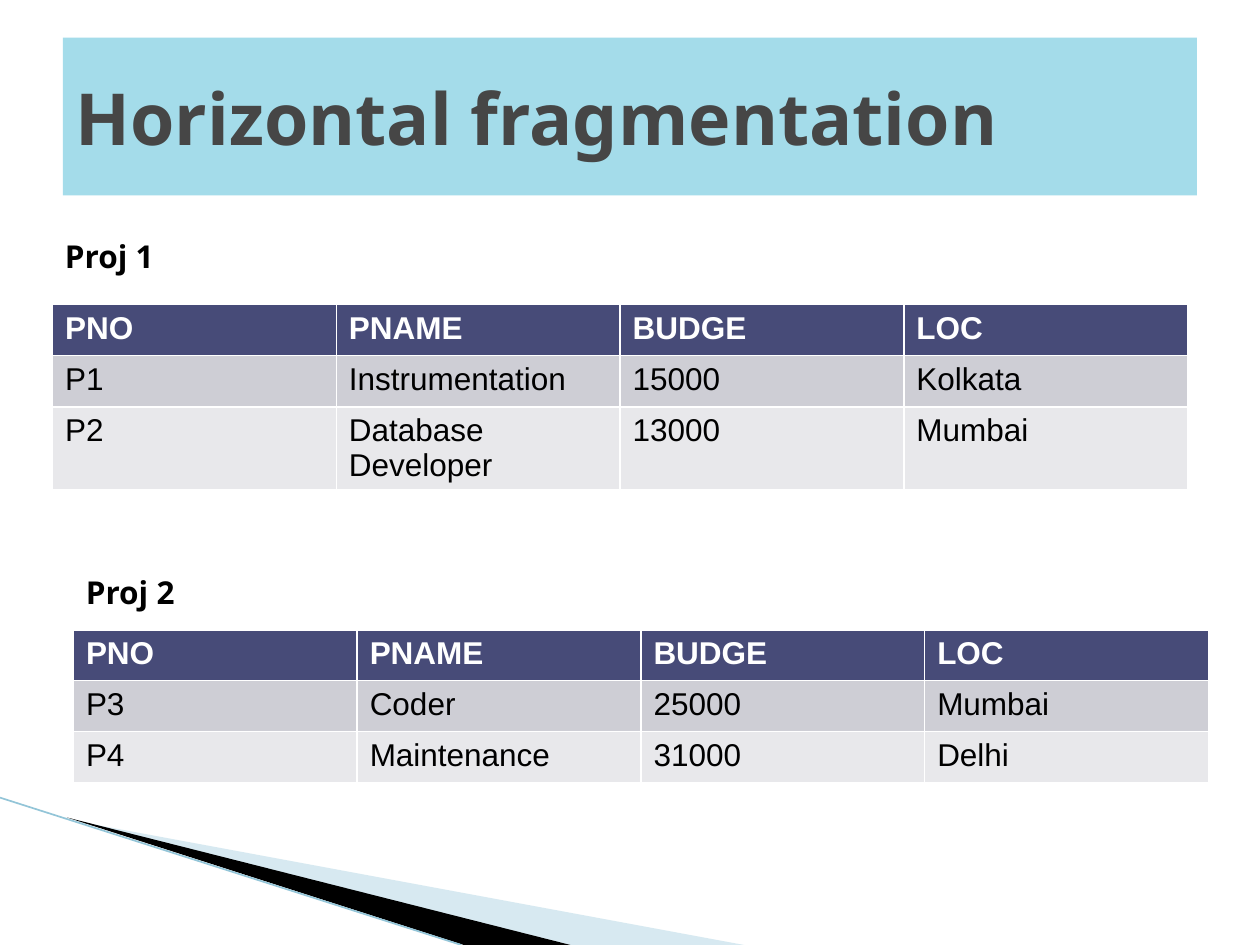
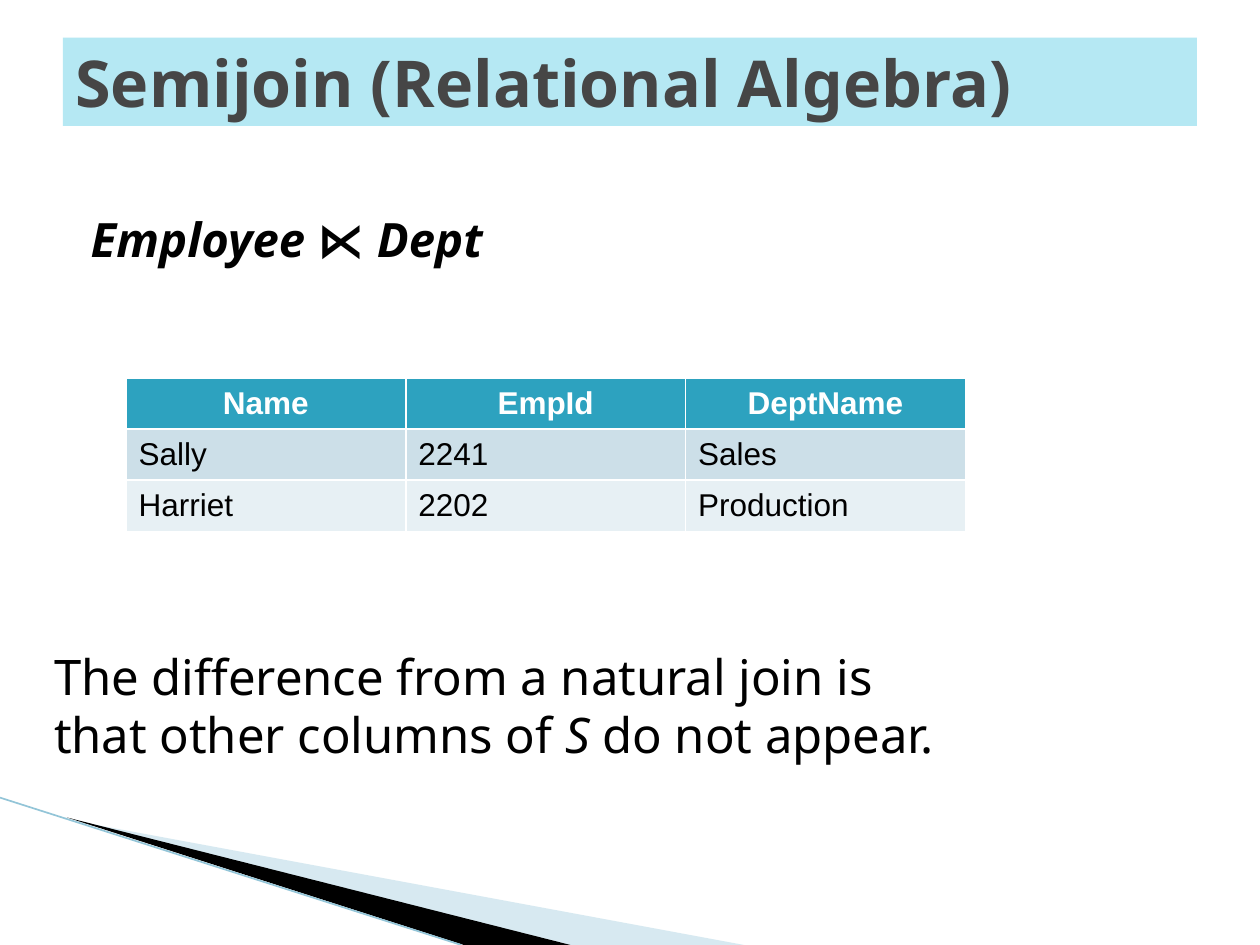
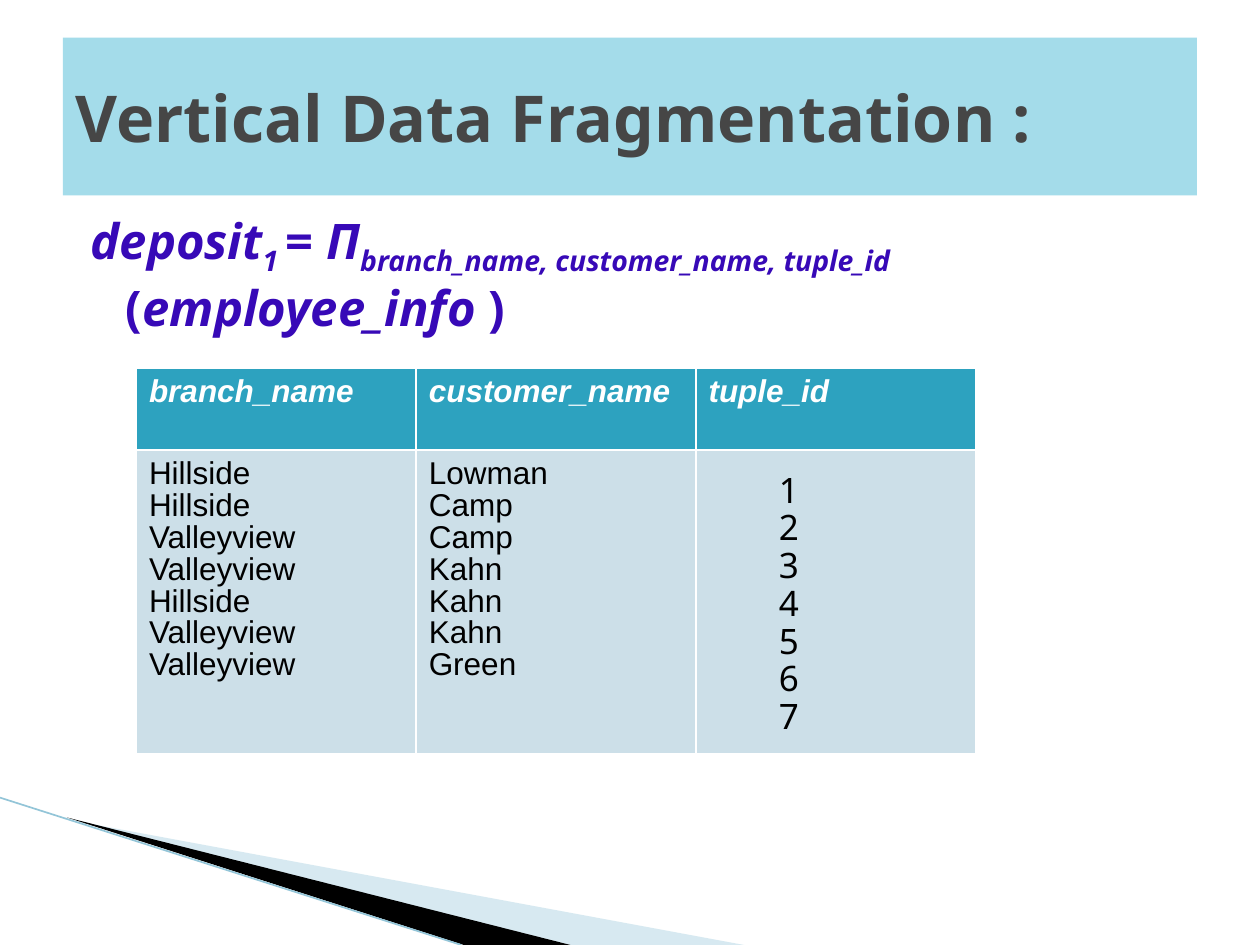
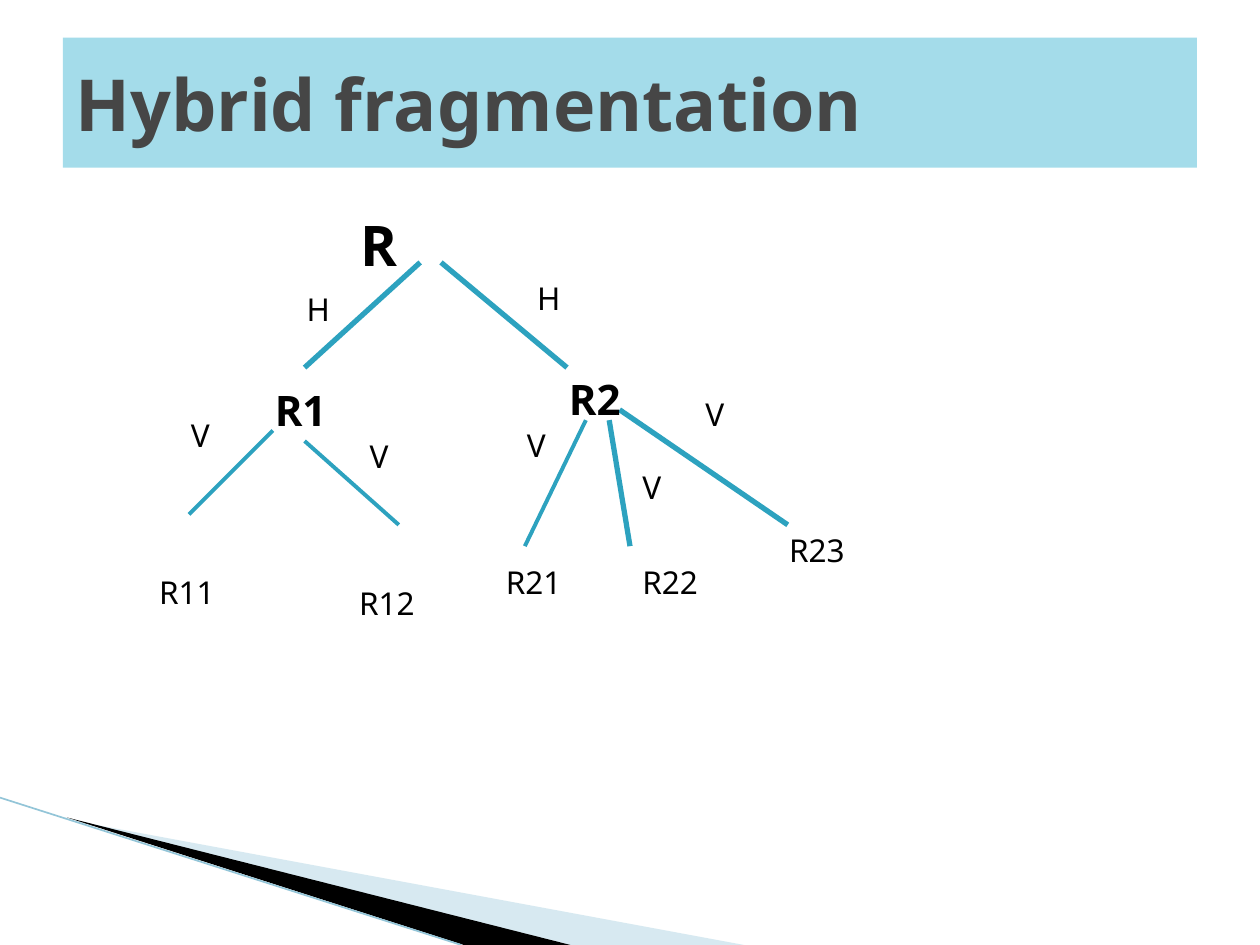
from dataclasses import dataclass, field
from typing import Any

import lxml.etree
import pptx
import pptx.dml.color
import pptx.enum.shapes
import pptx.enum.text
import pptx.oxml.ns
import pptx.util

Cm = pptx.util.Cm
qn = pptx.oxml.ns.qn
ALIGN = pptx.enum.text.PP_ALIGN
ANCHOR = pptx.enum.text.MSO_ANCHOR


@dataclass(frozen=True)
class Theme:
    heading_font: str = "Noto Sans"
    table_font: str = "Arial"
    ink: str = "000000"
    paper: str = "FFFFFF"
    title_ink: str = "464646"
    title_band: str = "A4DCEA"
    pale_band: str = "B5E8F3"
    formula: str = "3709B7"
    branch: str = "2DA2BF"
    wedge: str = "9CCADC"
    wedge_edge: str = "93C5D8"
    navy: tuple[str, ...] = ("474B78", "CECED5", "E8E8EB")
    teal: tuple[str, ...] = ("2DA2BF", "CCDFE8", "E7F0F4")
    large_title: float = 41
    title: float = 36.9
    root: float = 32
    body: float = 28
    expression: float = 27
    node: float = 24
    digit: float = 20
    label: float = 18


THEME = Theme()


@dataclass(frozen=True)
class Box:
    left: float
    top: float
    width: float
    height: float

    def lengths(self) -> tuple[Any, ...]:
        return Cm(self.left), Cm(self.top), Cm(self.width), Cm(self.height)


@dataclass(frozen=True)
class Style:
    size: float = THEME.label
    color: str = THEME.ink
    font: str = THEME.heading_font
    bold: bool = False
    italic: bool = False


@dataclass(frozen=True)
class Run:
    text: str
    changes: dict[str, Any] = field(default_factory=dict)
    subscript: bool = False


@dataclass(frozen=True)
class Grid:
    left: float
    top: float
    column_width: float
    row_heights: tuple[float, ...]
    rows: tuple[tuple[str, ...], ...]
    fills: tuple[str, ...]
    header_align: Any = ALIGN.LEFT
    header_italic: bool = False
    anchor: Any = ANCHOR.TOP


@dataclass(frozen=True)
class Branch:
    start: tuple[float, float]
    end: tuple[float, float]
    weight: float = 3


@dataclass(frozen=True)
class Label:
    text: str
    left: float
    top: float
    style: Style = Style()


ITALIC = {"italic": True}
BODY = Box(1.27, 4.12, 22.86, 12.57)
HANGING = (1.02, -0.71)
TIGHT = 0.9


def rgb(color: str) -> Any:
    return pptx.dml.color.RGBColor.from_string(color)


def write_run(paragraph: Any, run: Run, style: Style) -> None:
    words = paragraph.add_run()
    words.text = run.text
    formats = {
        "name": style.font,
        "size": pptx.util.Pt(style.size),
        "bold": style.bold,
        "italic": style.italic,
    } | run.changes
    for name, value in formats.items():
        setattr(words.font, name, value)
    words.font.color.rgb = rgb(style.color)
    if run.subscript:
        words.font._element.set("baseline", "-25000")


def write_lines(
    frame: Any,
    lines: list[list[Run]],
    style: Style,
    align: Any = ALIGN.LEFT,
    indent: tuple[float, float] | None = None,
    spacing: float | None = None,
) -> None:
    for number, runs in enumerate(lines):
        paragraph = frame.add_paragraph() if number else frame.paragraphs[0]
        paragraph.alignment = align
        if number and spacing:
            paragraph.line_spacing = spacing
        if indent:
            properties = paragraph._p.get_or_add_pPr()
            for name, length in zip(("marL", "indent"), indent):
                properties.set(name, str(int(Cm(length))))
        for run in runs:
            write_run(paragraph, run, style)


def plain(text: str) -> list[list[Run]]:
    return [[Run(line)] for line in text.split("\n")]


def add_text(
    slide: Any, box: Box, lines: list[list[Run]], style: Style, wrap: bool = True, **layout: Any
) -> None:
    frame = slide.shapes.add_textbox(*box.lengths()).text_frame
    frame.word_wrap = wrap
    write_lines(frame, lines, style, **layout)


def add_line(slide: Any, branch: Branch, color: str) -> None:
    ends = [Cm(value) for value in (*branch.start, *branch.end)]
    line = slide.shapes.add_connector(pptx.enum.shapes.MSO_CONNECTOR.STRAIGHT, *ends)
    line.line.color.rgb = rgb(color)
    line.line.width = pptx.util.Pt(branch.weight)
    lxml.etree.SubElement(line._element.spPr, qn("a:effectLst"))


def add_wedge(
    slide: Any, corners: list[tuple[float, float]], color: str, opacity: int = 100
) -> None:
    points = [(Cm(x), Cm(y)) for x, y in corners]
    builder = slide.shapes.build_freeform(*points[0], scale=1.0)
    builder.add_line_segments(points[1:], close=True)
    wedge = builder.convert_to_shape()
    wedge.shadow.inherit = False
    wedge.fill.solid()
    wedge.fill.fore_color.rgb = rgb(color)
    wedge.line.fill.background()
    if opacity < 100:
        tint = wedge._element.spPr.find(qn("a:solidFill")).find(qn("a:srgbClr"))
        lxml.etree.SubElement(tint, qn("a:alpha")).set("val", str(opacity * 1000))


def add_slide(
    deck: Any, title: str, height: float, size: float = THEME.title, band: str = THEME.title_band
) -> Any:
    slide = deck.slides.add_slide(deck.slide_layouts[6])
    add_wedge(slide, [(1.4, 16.53), (15, 19.05), (11.5, 19.05)], THEME.wedge, 40)
    add_wedge(slide, [(1.35, 16.48), (11.5, 19.05), (9.35, 19.05)], THEME.ink)
    add_line(slide, Branch((0, 16.08), (9.3, 19.05), 0.95), THEME.wedge_edge)
    heading = slide.shapes.add_shape(
        pptx.enum.shapes.MSO_SHAPE.RECTANGLE, *Box(1.27, 0.76, 22.86, height).lengths()
    )
    heading.shadow.inherit = False
    heading.fill.solid()
    heading.fill.fore_color.rgb = rgb(band)
    heading.line.fill.background()
    heading.text_frame.word_wrap = True
    heading.text_frame.vertical_anchor = ANCHOR.MIDDLE
    write_lines(heading.text_frame, plain(title), Style(size, THEME.title_ink, bold=True))
    return slide


def add_grid(slide: Any, grid: Grid) -> None:
    columns = len(grid.rows[0])
    box = Box(grid.left, grid.top, grid.column_width * columns, sum(grid.row_heights))
    table = slide.shapes.add_table(len(grid.rows), columns, *box.lengths()).table
    header_style = Style(
        color=THEME.paper, font=THEME.table_font, bold=True, italic=grid.header_italic
    )
    for column in table.columns:
        column.width = Cm(grid.column_width)
    for number, (values, height) in enumerate(zip(grid.rows, grid.row_heights)):
        table.rows[number].height = Cm(height)
        style = Style(font=THEME.table_font) if number else header_style
        align = ALIGN.LEFT if number else grid.header_align
        for cell, value in zip(table.rows[number].cells, values):
            cell.fill.solid()
            cell.fill.fore_color.rgb = rgb(grid.fills[number])
            cell.vertical_anchor = grid.anchor
            if value:
                write_lines(cell.text_frame, plain(value), style, align, spacing=TIGHT)


def horizontal_slide(deck: Any) -> None:
    slide = add_slide(deck, "Horizontal fragmentation", 3.18, THEME.large_title)
    header = ("PNO", "PNAME", "BUDGE", "LOC")
    proj_1 = (
        header,
        ("P1", "Instrumentation", "15000", "Kolkata"),
        ("P2", "Database Developer", "13000", "Mumbai"),
    )
    proj_2 = (
        header,
        ("P3", "Coder", "25000", "Mumbai"),
        ("P4", "Maintenance", "31000", "Delhi"),
    )
    fragments = (
        ("Proj 1", 4.65, Grid(1.06, 6.14, 5.72, (1.03, 1.03, 1.66), proj_1, THEME.navy)),
        ("Proj 2", 11.43, Grid(1.48, 12.7, 5.72, (0.95, 1.03, 1.03), proj_2, THEME.navy)),
    )
    for caption, top, grid in fragments:
        add_grid(slide, grid)
        add_text(slide, Box(grid.left, top, 2.34, 1.02), plain(caption), Style(bold=True), False)


def semijoin_slide(deck: Any) -> None:
    slide = add_slide(deck, "Semijoin (Relational Algebra)", 1.78, band=THEME.pale_band)
    expression = [Run("Employee", ITALIC), Run(" ⋉ "), Run("Dept", ITALIC)]
    add_text(slide, BODY, [expression], Style(THEME.expression, bold=True), indent=HANGING)
    employees = (
        ("Name", "EmpId", "DeptName"),
        ("Sally", "2241", "Sales"),
        ("Harriet", "2202", "Production"),
    )
    add_grid(
        slide,
        Grid(2.54, 7.62, 5.64, (1.03,) * 3, employees, THEME.teal, ALIGN.CENTER, anchor=ANCHOR.MIDDLE),
    )
    difference = [
        [Run("The difference from a natural join is")],
        [Run("that other columns of "), Run("S", ITALIC), Run(" do not appear.")],
    ]
    add_text(slide, Box(0.84, 12.9, 19.33, 2.64), difference, Style(THEME.body), False)


def vertical_slide(deck: Any) -> None:
    slide = add_slide(deck, "Vertical Data Fragmentation :", 3.18)
    projection = [
        Run("deposit", ITALIC),
        Run("1 ", ITALIC, subscript=True),
        Run("="),
        Run(" Π", ITALIC),
        Run("branch_name, customer_name, tuple_id ", ITALIC, subscript=True),
        Run("("),
        Run("employee_info ", ITALIC),
        Run(")"),
    ]
    add_text(
        slide,
        Box(BODY.left, BODY.top, BODY.width, 2.64),
        [projection],
        Style(THEME.body, THEME.formula, bold=True),
        indent=HANGING,
    )
    branches = "Hillside\nHillside\nValleyview\nValleyview\nHillside\nValleyview\nValleyview"
    customers = "Lowman\nCamp\nCamp\nKahn\nKahn\nKahn\nGreen"
    deposits = (("branch_name", "customer_name", "tuple_id"), (branches, customers, ""))
    add_grid(
        slide, Grid(2.75, 7.42, 5.64, (1.65, 6.12), deposits, THEME.teal, header_italic=True)
    )
    tuple_ids = "\n".join(str(number) for number in range(1, 8))
    add_text(
        slide,
        Box(15.45, 9.32, 0.85, 5.74),
        plain(tuple_ids),
        Style(THEME.digit),
        False,
        spacing=TIGHT,
    )


def hybrid_slide(deck: Any) -> None:
    slide = add_slide(deck, "Hybrid fragmentation", 2.62, THEME.large_title)
    add_text(slide, BODY, plain("R"), Style(THEME.root, bold=True), indent=(5.75, 0))
    branches = (
        Branch((8.47, 5.29), (6.14, 7.41)),
        Branch((8.89, 5.29), (11.43, 7.41)),
        Branch((5.5, 8.68), (3.81, 10.37), 2.25),
        Branch((6.14, 8.89), (8.04, 10.58), 2.25),
        Branch((11.81, 8.47), (10.58, 11.01), 2.25),
        Branch((12.28, 8.47), (12.7, 11.01)),
        Branch((12.49, 8.26), (15.88, 10.58)),
    )
    for branch in branches:
        add_line(slide, branch, THEME.branch)
    node = Style(THEME.node, bold=True)
    labels = (
        Label("H", 5.93, 5.72),
        Label("H", 10.58, 5.5),
        Label("R1", 5.29, 7.62, node),
        Label("R2", 11.22, 7.41, node),
        Label("V", 3.6, 8.26),
        Label("V", 7.2, 8.68),
        Label("V", 10.37, 8.47),
        Label("V", 12.7, 9.31),
        Label("V", 13.97, 7.83),
        Label("R11", 2.96, 11.43),
        Label("R12", 6.99, 11.64),
        Label("R21", 9.95, 11.22),
        Label("R22", 12.7, 11.22),
        Label("R23", 15.66, 10.58),
    )
    widths = {"H": 0.99, "V": 0.94, "R1": 1.6, "R2": 1.6}
    for label in labels:
        height = 1.27 if label.style is node else 1.02
        box = Box(label.left, label.top, widths.get(label.text, 1.73), height)
        add_text(slide, box, plain(label.text), label.style, False)


def main() -> None:
    deck = pptx.Presentation()
    deck.slide_width, deck.slide_height = Cm(25.4), Cm(19.05)
    for build in (horizontal_slide, semijoin_slide, vertical_slide, hybrid_slide):
        build(deck)
    deck.save("out.pptx")


if __name__ == "__main__":
    main()
